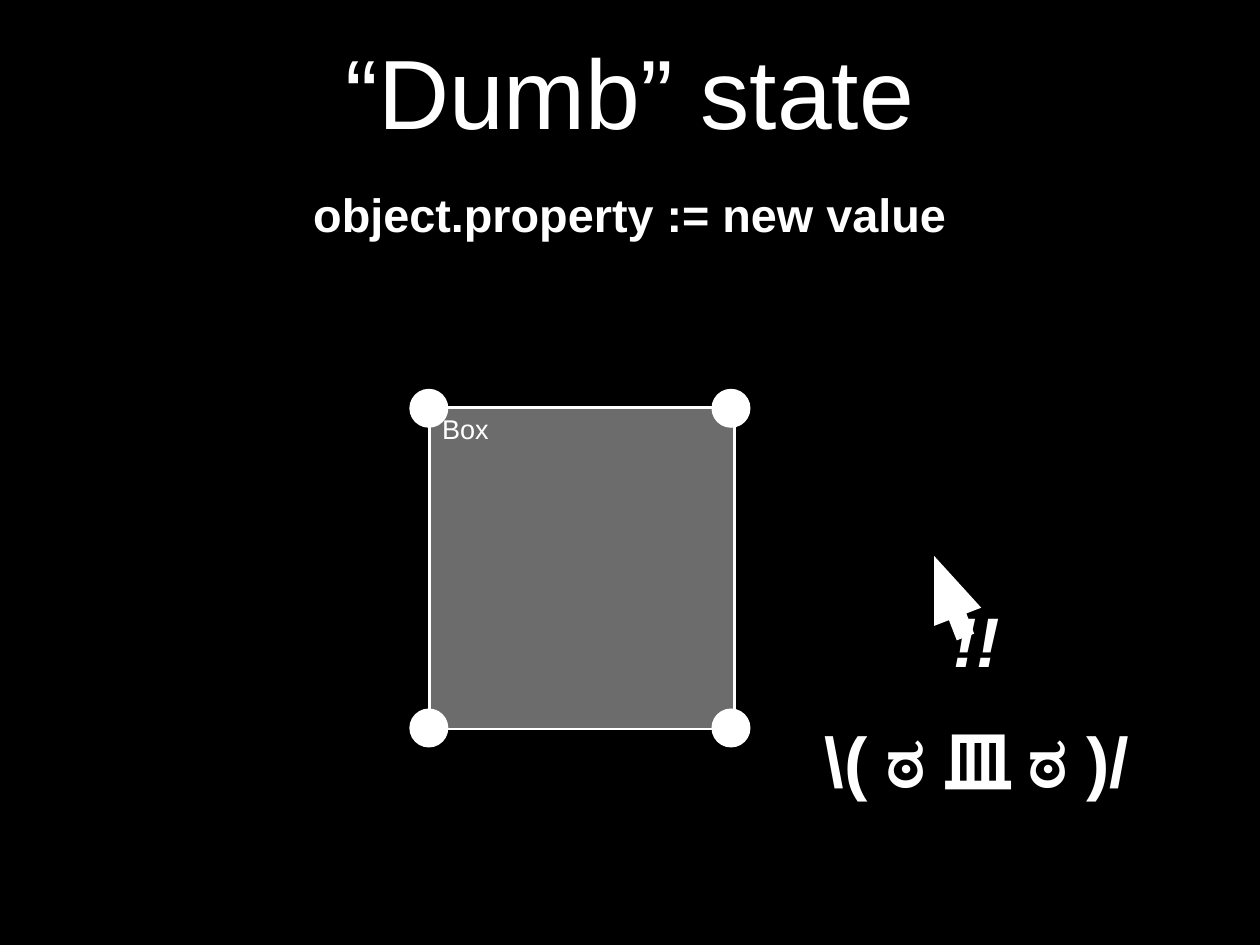
from pptx import Presentation
from pptx.dml.color import RGBColor
from pptx.enum.shapes import MSO_SHAPE
from pptx.enum.text import MSO_ANCHOR, MSO_AUTO_SIZE, PP_ALIGN
from pptx.util import Inches, Pt

BLACK = RGBColor(0x00, 0x00, 0x00)
WHITE = RGBColor(0xFF, 0xFF, 0xFF)
GRAY = RGBColor(0x6C, 0x6C, 0x6C)
PAD = 0.06


def write(shape, text, size, bold=False, italic=False, wrap=True,
          align=PP_ALIGN.CENTER, anchor=MSO_ANCHOR.MIDDLE, left=PAD):
    frame = shape.text_frame
    frame.text = text
    frame.auto_size = MSO_AUTO_SIZE.NONE
    frame.word_wrap = wrap
    frame.vertical_anchor = anchor
    frame.margin_left = Inches(left)
    frame.margin_top = frame.margin_right = frame.margin_bottom = Inches(PAD)
    line = frame.paragraphs[0]
    line.alignment = align
    font = line.runs[0].font
    font.name, font.size = "Arial", Pt(size)
    font.bold, font.italic = bold, italic
    font.color.rgb = WHITE


def draw(kind, left, top, width, height, fill=WHITE):
    shape = slide.shapes.add_shape(
        kind, Inches(left), Inches(top), Inches(width), Inches(height))
    shape.shadow.inherit = False
    shape.fill.solid()
    shape.fill.fore_color.rgb = fill
    shape.line.fill.background()
    return shape


deck = Presentation()
deck.slide_width, deck.slide_height = Inches(14.22), Inches(10.67)
slide = deck.slides.add_slide(deck.slide_layouts[5])
slide.background.fill.solid()
slide.background.fill.fore_color.rgb = BLACK

title = slide.shapes.title
title.left, title.top = Inches(1.04), Inches(0.28)
title.width, title.height = Inches(12.14), Inches(1.47)
write(title, "“Dumb” state", 80)

# Selected box with a round handle on each corner
box = draw(MSO_SHAPE.RECTANGLE, 4.85, 4.6, 3.44, 3.63, fill=GRAY)
box.line.color.rgb = WHITE
box.line.width = Pt(2)
write(box, "Box", 22, align=PP_ALIGN.LEFT, anchor=MSO_ANCHOR.TOP, left=0.14)

for left in (4.62, 8.03):
    for top in (4.39, 8):
        draw(MSO_SHAPE.OVAL, left, top, 0.44, 0.44)

# Mouse pointer
mouse = draw(MSO_SHAPE.RIGHT_ARROW, 10.23, 6.45, 0.98, 0.57)
mouse.adjustments[0] = 0.37
mouse.adjustments[1] = 1.29
mouse.rotation = 248.9

# Rule below the title, then the user's reaction
for text, size, left, top, width, height, italic, wrap in (
        ("object.property := new value", 38, 3.48, 2.05, 7.26, 0.73, False, False),
        ("\\( ಠ 皿 ಠ )/", 57, 8.72, 7.91, 4.61, 1.32, False, True),
        ("!!", 57, 8.72, 6.69, 4.61, 1.06, True, True)):
    label = slide.shapes.add_textbox(
        Inches(left), Inches(top), Inches(width), Inches(height))
    write(label, text, size, bold=True, italic=italic, wrap=wrap)

deck.save("out.pptx")
